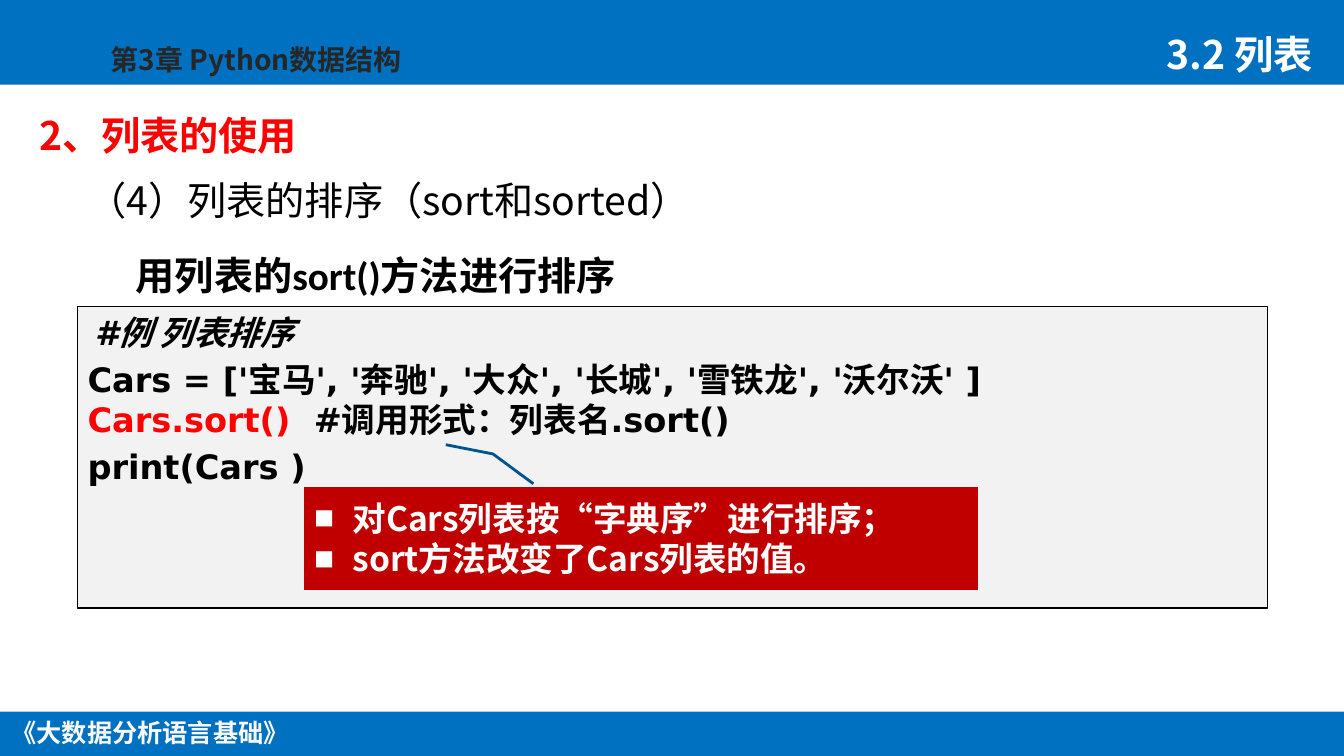
from dataclasses import dataclass

from lxml import etree
from pptx import Presentation
from pptx.dml.color import RGBColor
from pptx.enum.shapes import MSO_SHAPE
from pptx.enum.text import MSO_ANCHOR, MSO_AUTO_SIZE, PP_ALIGN
from pptx.oxml.ns import qn
from pptx.util import Inches, Pt

RECTANGLE = MSO_SHAPE.RECTANGLE
CALLOUT = MSO_SHAPE.LINE_CALLOUT_2_NO_BORDER
TOP, MIDDLE, BOTTOM = MSO_ANCHOR.TOP, MSO_ANCHOR.MIDDLE, MSO_ANCHOR.BOTTOM
LEFT, CENTER, RIGHT = PP_ALIGN.LEFT, PP_ALIGN.CENTER, PP_ALIGN.RIGHT
NO_FIT = MSO_AUTO_SIZE.NONE
TWO_CONTENT = 3


@dataclass(frozen=True)
class Theme:
    blue: str = "0070C0"
    red: str = "FF0000"
    dark_red: str = "C00000"
    pointer: str = "00538E"
    panel: str = "F2F2F2"
    black: str = "000000"
    chapter: str = "262626"
    white: str = "FFFFFF"
    footer: str = "FAFAFA"
    heading_size: int = 28
    code_size: int = 24
    chapter_size: int = 20
    footer_size: int = 18
    cjk: str = "Noto Sans CJK SC"
    code: str = "DejaVu Sans"
    method: str = "Calibri"


THEME = Theme()
WIDTH, HEIGHT = 13.34, 7.5
BREAK = "\n"


def inside(box, left, top, width, height):
    return box[0] + left, box[1] + top, width, height


def set_all(target, values):
    for name, value in values.items():
        setattr(target, name, value)


def place(shape, box):
    set_all(shape, dict(zip(("left", "top", "width", "height"), map(Inches, box))))


def write_run(paragraph, text, size, color, font=THEME.cjk, bold=True, italic=False):
    run = paragraph.add_run()
    run.text = text
    set_all(run.font, {"size": Pt(size), "name": font, "bold": bold, "italic": italic})
    run.font.color.rgb = RGBColor.from_string(color)
    east_asian = etree.SubElement(run.font._element, qn("a:ea"))
    east_asian.set("typeface", THEME.cjk)


def set_bullet(paragraph, bullet):
    properties = paragraph._p.get_or_add_pPr()
    indent = Inches(0.38) if bullet else 0
    properties.set("marL", str(indent))
    properties.set("indent", str(-indent))
    if bullet:
        etree.SubElement(properties, qn("a:buSzPct")).set("val", "60000")
        etree.SubElement(properties, qn("a:buFont")).set("typeface", THEME.cjk)
        etree.SubElement(properties, qn("a:buChar")).set("char", bullet)
    else:
        etree.SubElement(properties, qn("a:buNone"))


def write(shape, lines, size, color, anchor=TOP, align=LEFT, spacing=1.0,
          gap=0, bullet=None, wrap=True, **style):
    frame = shape.text_frame
    set_all(frame, {"word_wrap": wrap, "auto_size": NO_FIT, "vertical_anchor": anchor})
    for number, line in enumerate(lines):
        paragraph = frame.add_paragraph() if number else frame.paragraphs[0]
        set_bullet(paragraph, bullet)
        set_all(paragraph, {"alignment": align, "line_spacing": spacing,
                            "space_before": Pt(gap if number else 0)})
        for text, changes in line:
            if text == BREAK:
                paragraph.add_line_break()
            else:
                write_run(paragraph, text, **{"size": size, "color": color, **style, **changes})


def add_panel(slide, kind, box, fill, line=None, weight=1):
    panel = slide.shapes.add_shape(kind, *map(Inches, box))
    panel.shadow.inherit = False
    panel.fill.solid()
    panel.fill.fore_color.rgb = RGBColor.from_string(fill)
    if line:
        panel.line.color.rgb = RGBColor.from_string(line)
        panel.line.width = Pt(weight)
    else:
        panel.line.fill.background()
    return panel


def add_label(slide, box, text, size, color, **style):
    label = slide.shapes.add_textbox(*map(Inches, box))
    write(label, [[(text, {})]], size, color, **style)


def add_band(slide, box):
    band = add_panel(slide, RECTANGLE, box, THEME.blue)
    slide.shapes.element.insert(2, band.element)


def add_header(slide, box):
    add_band(slide, box)
    add_label(slide, inside(box, 1, 0.37, 3.78, 0.44), "第3章 Python数据结构",
              THEME.chapter_size, THEME.chapter)
    section = slide.shapes.title
    place(section, inside(box, 11.17, 0.08, 1.96, 0.74))
    write(section, [[("3.2 列表", {})]], THEME.heading_size, THEME.white,
          anchor=BOTTOM, align=RIGHT, spacing=0.9)


def add_footer(slide, box):
    add_band(slide, box)
    add_label(slide, inside(box, 0, 0.01, 2.98, 0.4), "《大数据分析语言基础》",
              THEME.footer_size, THEME.footer, align=CENTER, wrap=False)


def add_headings(slide, box):
    topic, subtopic = (slide.placeholders[index] for index in (1, 2))
    for heading, offset, text, color, bold in (
        (topic, (0, 0), "2、列表的使用", THEME.red, True),
        (subtopic, (0.48, 0.64), "（4）列表的排序（sort和sorted）", THEME.black, False),
    ):
        place(heading, inside(box, *offset, 8.36, 0.48))
        write(heading, [[(text, {})]], THEME.heading_size, color,
              anchor=BOTTOM, spacing=0.9, bold=bold)
    add_label(slide, inside(box, 0.96, 1.11, 8.83, 0.94), "用列表的sort()方法进行排序",
              THEME.heading_size, THEME.black, anchor=MIDDLE, font=THEME.method)


def add_code(slide, box):
    listing = add_panel(slide, RECTANGLE, box, THEME.panel, THEME.black)
    write(listing, [
        [(" ", {"font": THEME.cjk}), ("#例 列表排序", {"italic": True})],
        [("Cars = ['宝马', '奔驰', '大众', '长城', '雪铁龙', '沃尔沃' ]", {}), (BREAK, {}),
         ("Cars.sort()  ", {"color": THEME.red}), ("#调用形式：列表名.sort()", {})],
        [("print(Cars )", {})],
    ], THEME.code_size, THEME.black, gap=5, font=THEME.code)

    remark = add_panel(slide, CALLOUT, inside(box, 2.25, 1.79, 6.69, 1.02),
                       THEME.dark_red, THEME.pointer, 2)
    for index, share in enumerate((-0.03, 0.34, -0.32, 0.28, -0.41, 0.21)):
        remark.adjustments[index] = share
    write(remark, [[("对Cars列表按“字典序”进行排序；", {})],
                   [("sort方法改变了Cars列表的值。", {})]],
          THEME.code_size, THEME.white, anchor=MIDDLE, bullet="■")


def main():
    deck = Presentation()
    set_all(deck, {"slide_width": Inches(WIDTH), "slide_height": Inches(HEIGHT)})
    slide = deck.slides.add_slide(deck.slide_layouts[TWO_CONTENT])
    add_header(slide, (0, 0, WIDTH, 0.84))
    add_footer(slide, (0, 7.06, WIDTH, 0.44))
    add_headings(slide, (0.29, 1.15, 9.79, 2.05))
    add_code(slide, (0.77, 3.04, 11.81, 2.99))
    deck.save("out.pptx")


if __name__ == "__main__":
    main()
